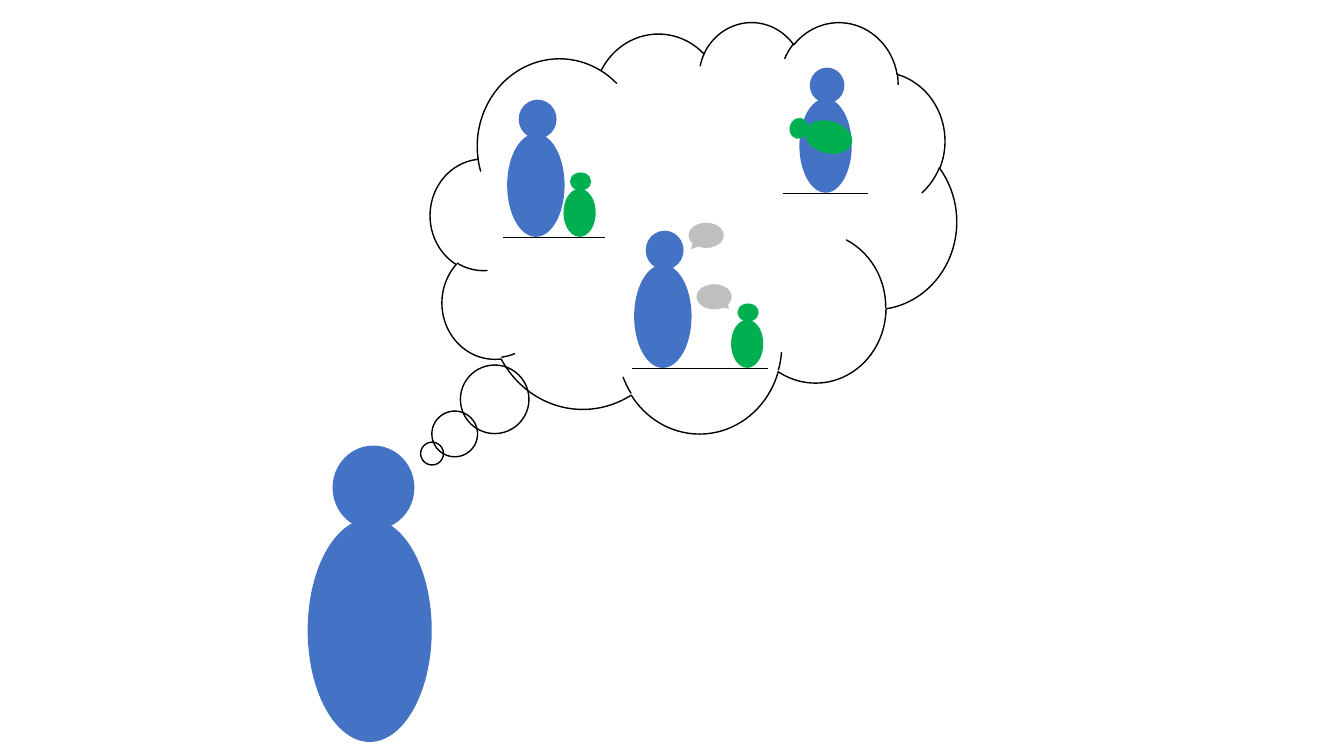
import pptx
import pptx.util
import pptx.dml.color
import pptx.enum.shapes
import pptx.oxml.ns
import lxml.etree

Pt = pptx.util.Pt
RGBColor = pptx.dml.color.RGBColor
MSO = pptx.enum.shapes.MSO_SHAPE

BLUE = RGBColor(0x44, 0x72, 0xC4)
GREEN = RGBColor(0x00, 0xB0, 0x50)
GREY = RGBColor(0xBF, 0xBF, 0xBF)
BLACK = RGBColor(0, 0, 0)

# Proportions relative to body width; head_top is its height above the feet
ADULT = {"body_h": 1.8, "head_x": 0.2, "head_w": 0.66, "head_h": 0.68, "head_top": 2.39}
CHILD = {"body_h": 1.5, "head_x": 0.2, "head_w": 0.66, "head_h": 0.56, "head_top": 2.0}
CHILD_W = 23
BABY_TILT = 284.8


def add_shape(parent, kind, box, fill=None, line=None, rotation=0, adjust=()):
    s = parent.shapes.add_shape(kind, *[Pt(v) for v in box])
    s.shadow.inherit = False
    s.rotation = rotation
    for i, value in enumerate(adjust):
        s.adjustments[i] = value
    if fill is None:
        s.fill.background()
    else:
        s.fill.solid()
        s.fill.fore_color.rgb = fill
    if line is None:
        s.line.fill.background()
    else:
        s.line.color.rgb = line
        s.line.width = Pt(1)
    return s


def add_person(parent, left, feet, width, build, colour):
    body_h = width * build["body_h"]
    add_shape(parent, MSO.OVAL, (left, feet - body_h, width, body_h), colour)
    head = (left + width * build["head_x"], feet - width * build["head_top"],
            width * build["head_w"], width * build["head_h"])
    add_shape(parent, MSO.OVAL, head, colour)


def add_ground(parent, x1, x2, y):
    c = parent.shapes.add_connector(pptx.enum.shapes.MSO_CONNECTOR.STRAIGHT,
                                    Pt(x1), Pt(y), Pt(x2), Pt(y))
    c.line.color.rgb = BLACK
    c.line.width = Pt(0.5)
    lxml.etree.SubElement(c._element.spPr, pptx.oxml.ns.qn("a:effectLst"))


def add_bubble(parent, left, top, tail):
    add_shape(parent, MSO.OVAL_CALLOUT, (left, top, 25.2, 18), GREY, adjust=tail)


def main():
    prs = pptx.Presentation()
    prs.slide_width, prs.slide_height = Pt(960), Pt(540)
    slide = prs.slides.add_slide(prs.slide_layouts[6])

    # Thinking adult and thought cloud
    thinker = slide.shapes.add_group_shape()
    add_person(thinker, 219.8, 530, 88.6, ADULT, BLUE)
    add_shape(slide, MSO.CLOUD_CALLOUT, (307.5, 15.2, 375.8, 293.8),
              line=BLACK, adjust=(-0.497, 0.551))

    # Adult and child side by side
    together = slide.shapes.add_group_shape()
    add_ground(together, 359.3, 432, 169.2)
    add_person(together, 362.3, 169.2, 41, ADULT, BLUE)
    add_person(together, 402.5, 169.2, CHILD_W, CHILD, GREEN)

    # Adult carrying a baby
    carrying = slide.shapes.add_group_shape()
    add_ground(carrying, 559.4, 619.9, 138.2)
    add_person(carrying, 571, 137.7, 37.4, ADULT, BLUE)
    for box in ((580.3, 80.6, 23, 34.6), (563, 85.2, 15.1, 13)):
        add_shape(carrying, MSO.OVAL, box, GREEN, rotation=BABY_TILT)

    # Adult and child talking
    talking = slide.shapes.add_group_shape()
    add_ground(talking, 451.4, 548.6, 262.8)
    add_person(talking, 453, 262.8, 41, ADULT, BLUE)
    add_person(talking, 522.2, 262.8, CHILD_W, CHILD, GREEN)
    add_bubble(talking, 491.8, 159.1, (-0.432, 0.552))
    add_bubble(talking, 497.5, 203, (0.417, 0.477))

    prs.save("out.pptx")


if __name__ == "__main__":
    main()
